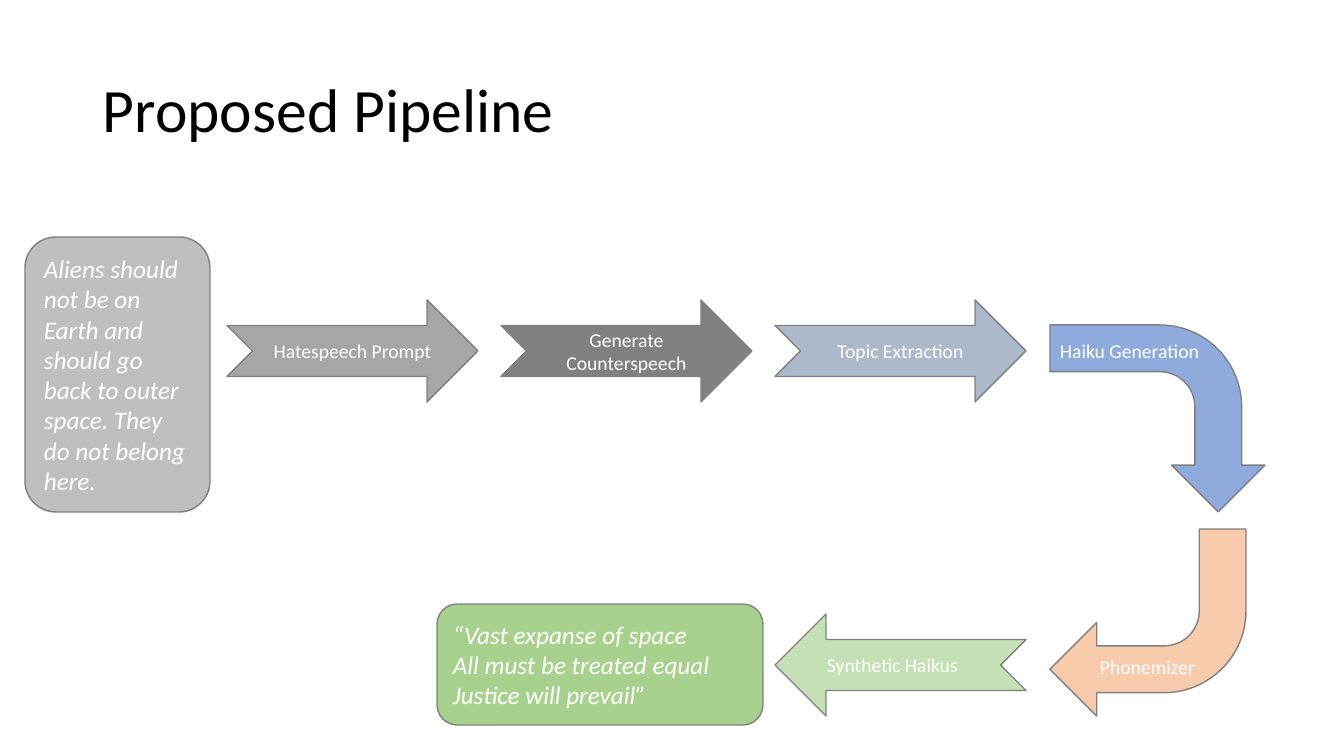
"""Build the "Proposed Pipeline" slide: a hate speech prompt becomes a haiku."""
from pptx import Presentation
from pptx.dml.color import RGBColor
from pptx.enum.shapes import MSO_SHAPE as SHAPE
from pptx.enum.text import MSO_ANCHOR as ANCHOR, PP_ALIGN as ALIGN
from pptx.util import Pt

PX = 914400 / 100.8
FONT = "Calibri"
BLACK = RGBColor(0x00, 0x00, 0x00)
WHITE = RGBColor(0xFF, 0xFF, 0xFF)
GREY = RGBColor(0x80, 0x80, 0x80)
MID_GREY = RGBColor(0xA6, 0xA6, 0xA6)
LIGHT_GREY = RGBColor(0xBF, 0xBF, 0xBF)
SLATE = RGBColor(0xAD, 0xB9, 0xCA)
BLUE = RGBColor(0x8F, 0xAA, 0xDC)
PEACH = RGBColor(0xF8, 0xCB, 0xAD)
PALE_GREEN = RGBColor(0xC5, 0xE0, 0xB4)
GREEN = RGBColor(0xA9, 0xD1, 0x8E)

TITLE = "Proposed Pipeline"
FORWARD_STEPS = [
    ("Hatespeech Prompt", MID_GREY),
    ("Generate Counterspeech", GREY),
    ("Topic Extraction", SLATE),
]
TURNED_STEPS = [
    ("Haiku Generation", (1050, 334, 161, 34),
     SHAPE.BENT_ARROW, (1064, 311, 187, 215), 90, BLUE),
    ("Phonemizer", (1090, 650, 116, 34),
     SHAPE.BENT_ARROW, (1050, 529, 196, 187), 180, PEACH),
    ("Synthetic Haikus", (817, 648, 153, 34),
     SHAPE.NOTCHED_RIGHT_ARROW, (775, 614, 251, 102), 180, PALE_GREEN),
]
EXAMPLES = [
    (["Aliens should not be on Earth and should go back to outer space. "
      "They do not belong here."], (25, 237, 185, 275), LIGHT_GREY),
    (["“Vast expanse of space", "All must be treated equal",
      "Justice will prevail”"], (437, 604, 326, 121), GREEN),
]
FIRST_LEFT, STEP_TOP, STEP_WIDTH, STEP_HEIGHT = 227, 300, 251, 102
STEP_PITCH = 274


def emu(box):
    return [round(length * PX) for length in box]


def write(frame, lines, size, color=WHITE, align=ALIGN.LEFT, italic=False):
    frame.text = "\n".join(lines)
    for paragraph in frame.paragraphs:
        paragraph.alignment = align
        paragraph.font.name = FONT
        paragraph.font.size = Pt(size)
        paragraph.font.color.rgb = color
        paragraph.font.italic = italic


def add_block(slide, kind, box, fill, rotation=0):
    block = slide.shapes.add_shape(kind, *emu(box))
    block.rotation = rotation
    block.shadow.inherit = False
    block.fill.solid()
    block.fill.fore_color.rgb = fill
    block.line.color.rgb = GREY
    block.line.width = Pt(1)
    block.text_frame.word_wrap = True
    block.text_frame.vertical_anchor = ANCHOR.MIDDLE
    return block


def main():
    prs = Presentation()
    prs.slide_width, prs.slide_height = emu((1344, 756))
    slide = prs.slides.add_slide(prs.slide_layouts[6])

    title = slide.shapes.add_textbox(*emu((93, 40, 1159, 146))).text_frame
    title.word_wrap = True
    title.vertical_anchor = ANCHOR.MIDDLE
    write(title, [TITLE], 44, BLACK)
    title.paragraphs[0].line_spacing = 0.9

    for index, (step, fill) in enumerate(FORWARD_STEPS):
        box = (FIRST_LEFT + index * STEP_PITCH, STEP_TOP, STEP_WIDTH, STEP_HEIGHT)
        arrow = add_block(slide, SHAPE.NOTCHED_RIGHT_ARROW, box, fill)
        write(arrow.text_frame, [step], 14, align=ALIGN.CENTER)

    for step, label_box, kind, box, rotation, fill in TURNED_STEPS:
        add_block(slide, kind, box, fill, rotation)
        label = slide.shapes.add_textbox(*emu(label_box)).text_frame
        label.word_wrap = False
        write(label, [step], 14)

    for lines, box, fill in EXAMPLES:
        example = add_block(slide, SHAPE.FLOWCHART_ALTERNATE_PROCESS, box, fill)
        write(example.text_frame, lines, 18, italic=True)

    prs.save("out.pptx")


if __name__ == "__main__":
    main()
